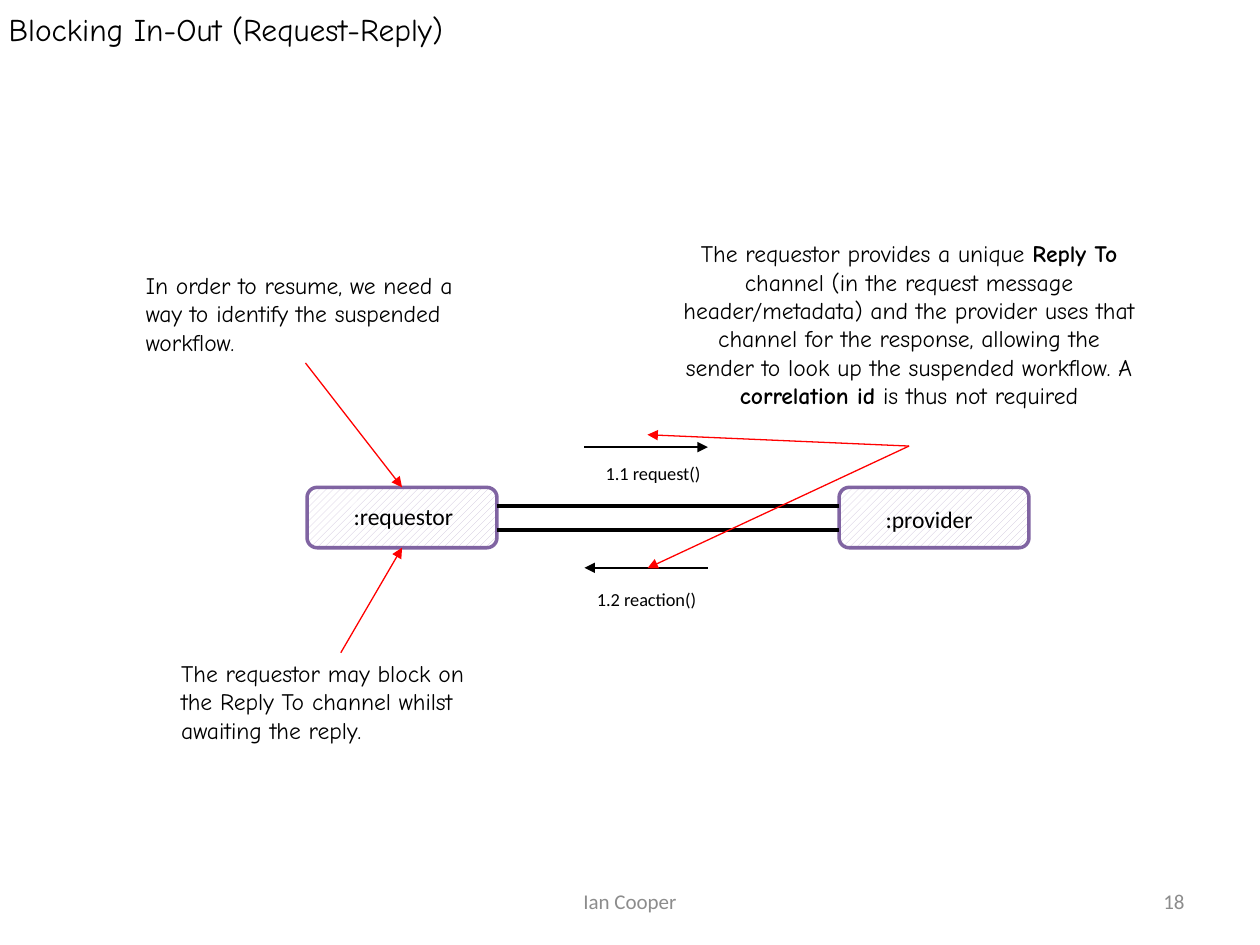
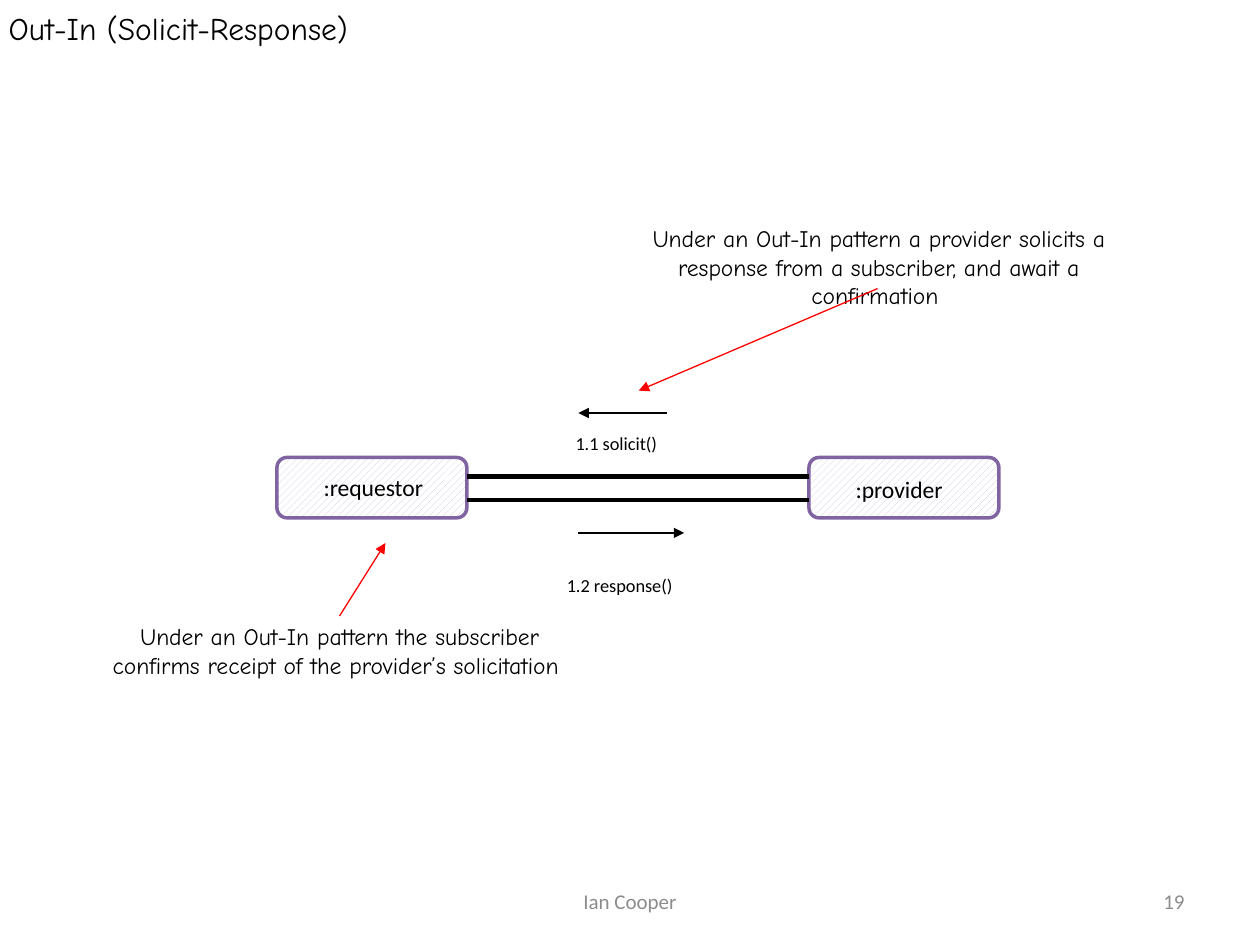
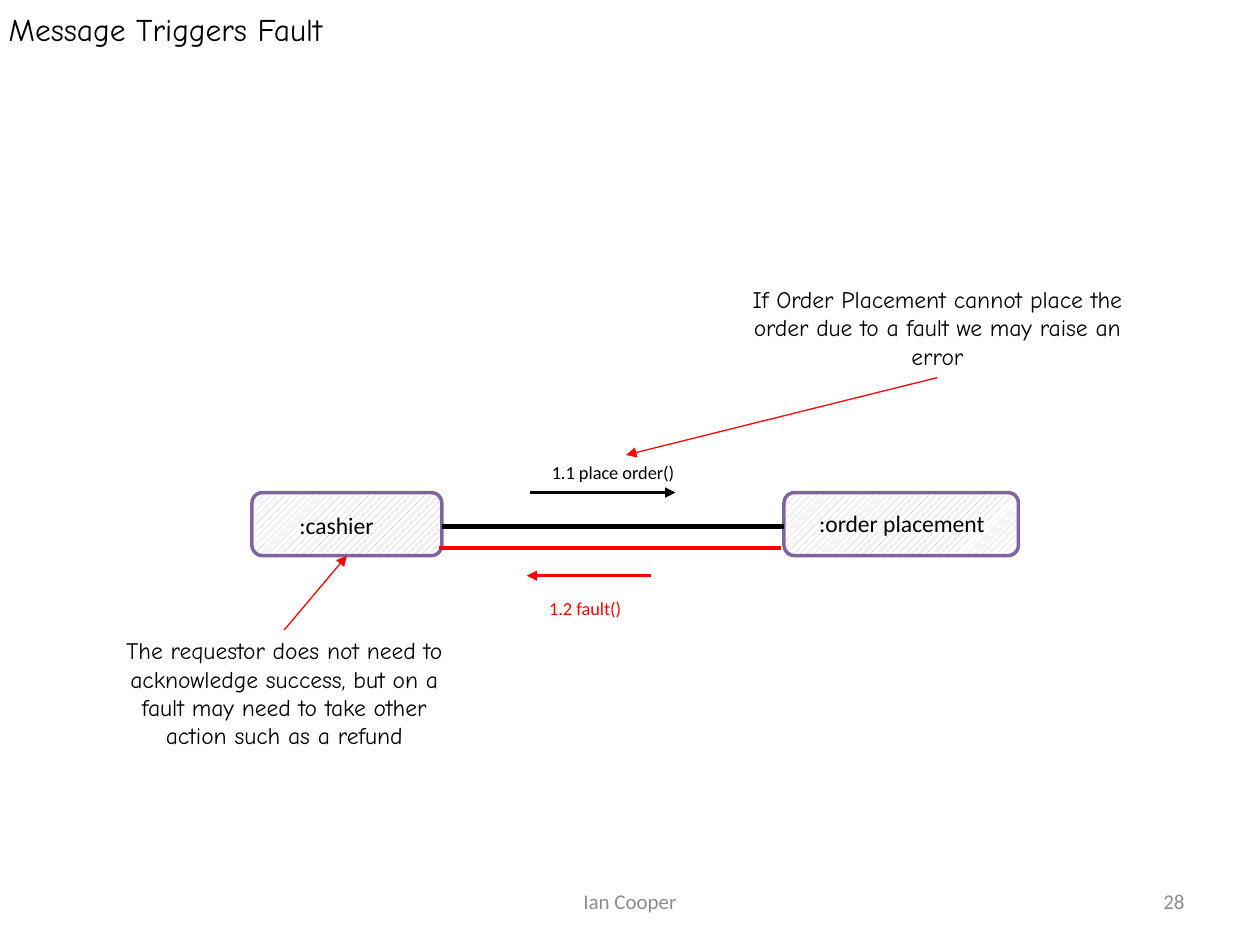
from lxml import etree
from pptx import Presentation
from pptx.dml.color import RGBColor
from pptx.enum.dml import MSO_PATTERN
from pptx.enum.shapes import MSO_CONNECTOR, MSO_SHAPE
from pptx.enum.text import MSO_ANCHOR, PP_ALIGN
from pptx.oxml.ns import qn
from pptx.util import Pt

LEFT, CENTER, RIGHT = PP_ALIGN.LEFT, PP_ALIGN.CENTER, PP_ALIGN.RIGHT
TOP_ANCHOR, MIDDLE = MSO_ANCHOR.TOP, MSO_ANCHOR.MIDDLE
ROUNDED = MSO_SHAPE.ROUNDED_RECTANGLE
STRAIGHT = MSO_CONNECTOR.STRAIGHT
HATCH = MSO_PATTERN.WIDE_UPWARD_DIAGONAL

BLACK, RED, GREY, WHITE = "000000", "FF0000", "8C8C8C", "FFFFFF"
PURPLE, LILAC = "8064A2", "CCC1DA"
HAND, PLAIN = "Comic Neue", "Calibri"
TOP, BOTTOM = 0, 2  # connection sites
BOX_GAP = 304  # from the left edge of one box to that of the next
AUTHOR = "Ian Cooper"

# boxes: name, width, text offset x, y, text width
# channels: distance below box top, shift, colour
# messages: from x, to x, y, label, label x, y, width, colour
# notes: text (every second part bold), place, alignment, pointers
# pointers: start and end, each a point or a connection site;
#           a site at the end belongs to the first box
SLIDES = [
    dict(
        title="Blocking In-Out (Request-Reply)", title_y=1, number="18",
        origin=(175.5, 278.5), box_height=34.5,
        boxes=[(":requestor", 108.5, 19.5, 5, 78.5),
               (":provider", 108.5, 19.5, 6.5, 69)],
        channels=[(10.8, 0, BLACK), (24.5, 0, BLACK)],
        messages=[
            (334, 404.5, 255.5, "1.1 request()", 339, 260.5, 70.5, BLACK),
            (404.5, 334, 324.5, "1.2 reaction()", 334, 332.8, 93.5, BLACK)],
        notes=[
            (["The requestor provides a unique ", "Reply To ",
              "channel (in the request message header/metadata) and the "
              "provider uses that channel for the response, allowing the "
              "sender to look up the suspended workflow. A ",
              "correlation id", " is thus not required"],
             (382.3, 133.2, 274.3, 121.7), CENTER,
             [(BOTTOM, (370, 324.7)), (BOTTOM, (370, 248.4))]),
            (["In order to resume, we need a way to identify the "
              "suspended workflow."],
             (76.3, 151.2, 196.5, 56.2), LEFT, [(BOTTOM, TOP)]),
            (["The requestor may block on the Reply To channel whilst "
              "awaiting the reply."],
             (96.5, 373, 196.5, 56.2), LEFT, [(TOP, BOTTOM)]),
        ]),
    dict(
        title="Out-In (Solicit-Response)", title_y=0, number="19",
        origin=(158.3, 261.4), box_height=34.5,
        boxes=[(":requestor", 108.5, 19.5, 5, 73.5),
               (":provider", 108.5, 19.5, 6.5, 69)],
        channels=[(10.8, 0, BLACK), (24.5, 0, BLACK)],
        messages=[
            (381, 330.5, 236, "1.1 solicit()", 321.8, 243.4, 84, BLACK),
            (330.5, 391, 304.5, "1.2 response()", 316.8, 324.7, 116, BLACK)],
        notes=[
            (["Under an Out-In pattern a provider solicits a response from "
              "a subscriber, and await a confirmation "],
             (365, 124.6, 274.3, 56.2), CENTER,
             [((501.5, 164.9), (365, 223.2))]),
            (["Under an Out-In pattern the subscriber confirms receipt of "
              "the provider’s solicitation "],
             (56.9, 352, 274.3, 56.2), CENTER, [(TOP, (220.3, 310.3))]),
        ]),
    dict(
        title="Message Triggers Fault", title_y=1, number="28",
        origin=(144, 281.5), box_height=36,
        boxes=[(":cashier", 108.5, 20, 7, 69),
               (":order placement", 134, 13, 5.8, 119)],
        channels=[(19.3, 0, BLACK), (31.7, -1.5, RED)],
        messages=[
            (303, 386, 281.5, "1.1 place order()", 308.2, 260, 99.4, BLACK),
            (372, 301, 329, "1.2 fault()", 306.7, 337.7, 60, RED)],
        notes=[
            (["If Order Placement cannot place the order due to a fault we "
              "may raise an error"],
             (407.5, 159.3, 256.3, 56.5), CENTER,
             [(BOTTOM, (357.8, 260))]),
            (["The requestor does not need to acknowledge success, but on a "
              "fault may need to take other action such as a refund"],
             (59.8, 360, 205.2, 72.7), CENTER, [(TOP, BOTTOM)]),
        ]),
]


def rgb(color):
    return RGBColor.from_string(color)


def add_text(slide, parts, x, y, w, h, size=13.5, font=PLAIN, color=BLACK,
             align=LEFT, anchor=TOP_ANCHOR, inset=None):
    """Add a text box; every second part is bold."""
    sp = slide.shapes.add_textbox(Pt(x), Pt(y), Pt(w), Pt(h))
    tf = sp.text_frame
    tf.word_wrap = True
    tf.vertical_anchor = anchor
    if inset is not None:
        tf.margin_left = tf.margin_right = Pt(inset)
        tf.margin_top = tf.margin_bottom = Pt(inset)
    p = tf.paragraphs[0]
    p.alignment = align
    for i, part in enumerate(parts):
        r = p.add_run()
        r.text = part
        r.font.size = Pt(size)
        r.font.name = font
        r.font.bold = i % 2 == 1
        r.font.color.rgb = rgb(color)
    return sp


def add_line(slide, start, end, color, width, arrow=True):
    cxn = slide.shapes.add_connector(STRAIGHT, *map(Pt, start + end))
    cxn.line.color.rgb = rgb(color)
    cxn.line.width = Pt(width)
    if arrow:
        etree.SubElement(cxn.line._get_or_add_ln(), qn("a:tailEnd"),
                         type="triangle")
    etree.SubElement(cxn._element.spPr, qn("a:effectLst"))
    return cxn


def add_box(slide, x, y, w, h):
    sp = slide.shapes.add_shape(ROUNDED, Pt(x), Pt(y), Pt(w), Pt(h))
    sp.shadow.inherit = False
    sp.fill.patterned()
    sp.fill.pattern = HATCH
    sp.fill.fore_color.rgb = rgb(LILAC)
    sp.fill.back_color.rgb = rgb(WHITE)
    sp.line.color.rgb = rgb(PURPLE)
    sp.line.width = Pt(2)
    return sp


def add_pointer(slide, note, box, start, end):
    """Draw a red arrow, joined wherever a connection site is given."""
    cxn = add_line(slide, (0, 0) if isinstance(start, int) else start,
                   (0, 0) if isinstance(end, int) else end, RED, 0.75)
    if isinstance(start, int):
        cxn.begin_connect(note, start)
    if isinstance(end, int):
        cxn.end_connect(box, end)


def add_frame(slide, title, title_y, number):
    """Add the title and footer that every slide has."""
    add_text(slide, [title], 0, title_y, 720, 32.4, size=18, font=HAND,
             inset=5)
    footer = dict(size=12, color=GREY, anchor=MIDDLE)
    add_text(slide, [AUTHOR], 246, 500.5, 228, 28.75, align=CENTER, **footer)
    add_text(slide, [number], 516, 500.5, 168, 28.75, align=RIGHT, **footer)


def add_diagram(slide, origin, box_height, boxes, channels, messages, notes):
    x, y = origin
    shapes = [add_box(slide, x + i * BOX_GAP, y, box[1], box_height)
              for i, box in enumerate(boxes)]
    for drop, shift, color in channels:
        add_line(slide, (x + boxes[0][1] + shift, y + drop),
                 (x + BOX_GAP + shift, y + drop), color, 2.5, arrow=False)
    for i, (name, _, dx, dy, w) in enumerate(boxes):
        add_text(slide, [name], x + i * BOX_GAP + dx, y + dy, w, 23.6)
    for x1, x2, line_y, label, label_x, label_y, w, color in messages:
        add_line(slide, (x1, line_y), (x2, line_y), color, 1.5)
        add_text(slide, [label], label_x, label_y, w, 20, size=10.5,
                 color=color)
    for parts, place, align, pointers in notes:
        note = add_text(slide, parts, *place, font=HAND, align=align)
        for start, end in pointers:
            add_pointer(slide, note, shapes[0], start, end)


def main():
    prs = Presentation()
    prs.slide_width, prs.slide_height = Pt(720), Pt(540)
    for content in SLIDES:
        slide = prs.slides.add_slide(prs.slide_layouts[6])
        diagram = dict(content)
        add_frame(slide, *(diagram.pop(key)
                           for key in ("title", "title_y", "number")))
        add_diagram(slide, **diagram)
    prs.save("out.pptx")


if __name__ == "__main__":
    main()
